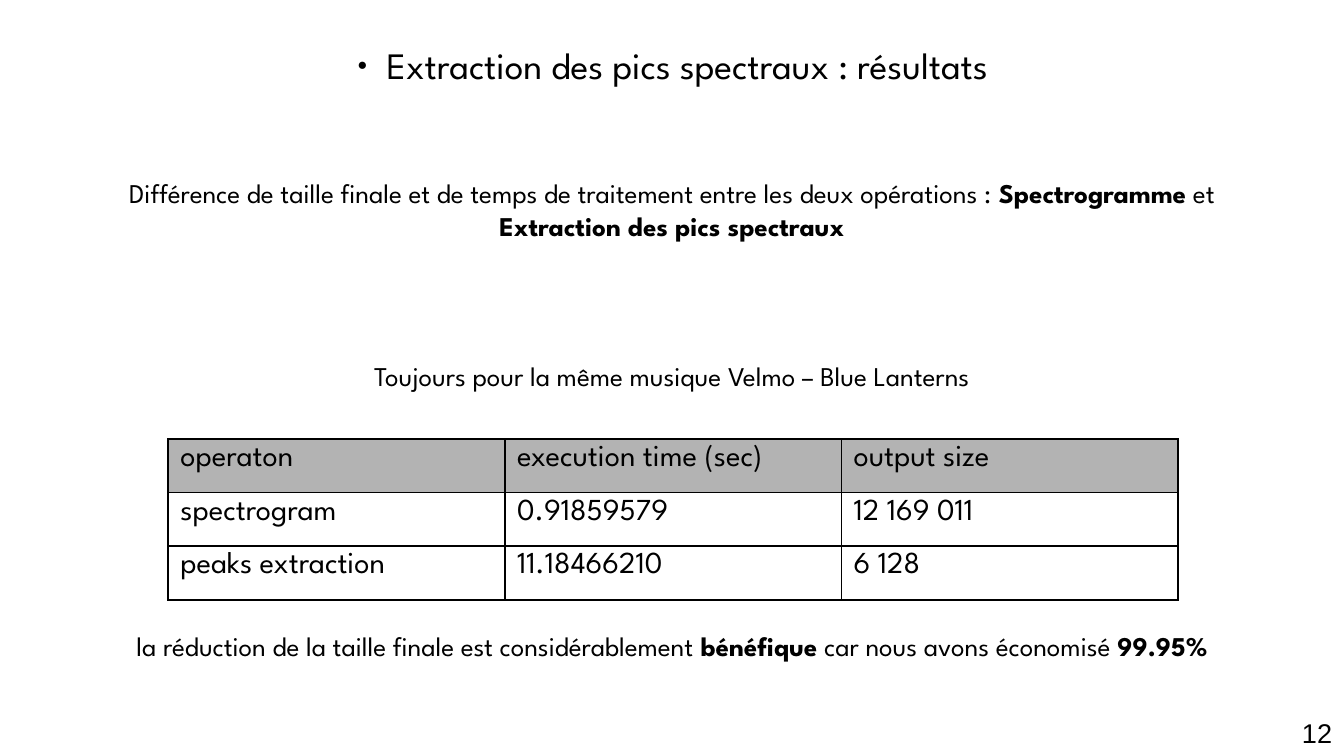
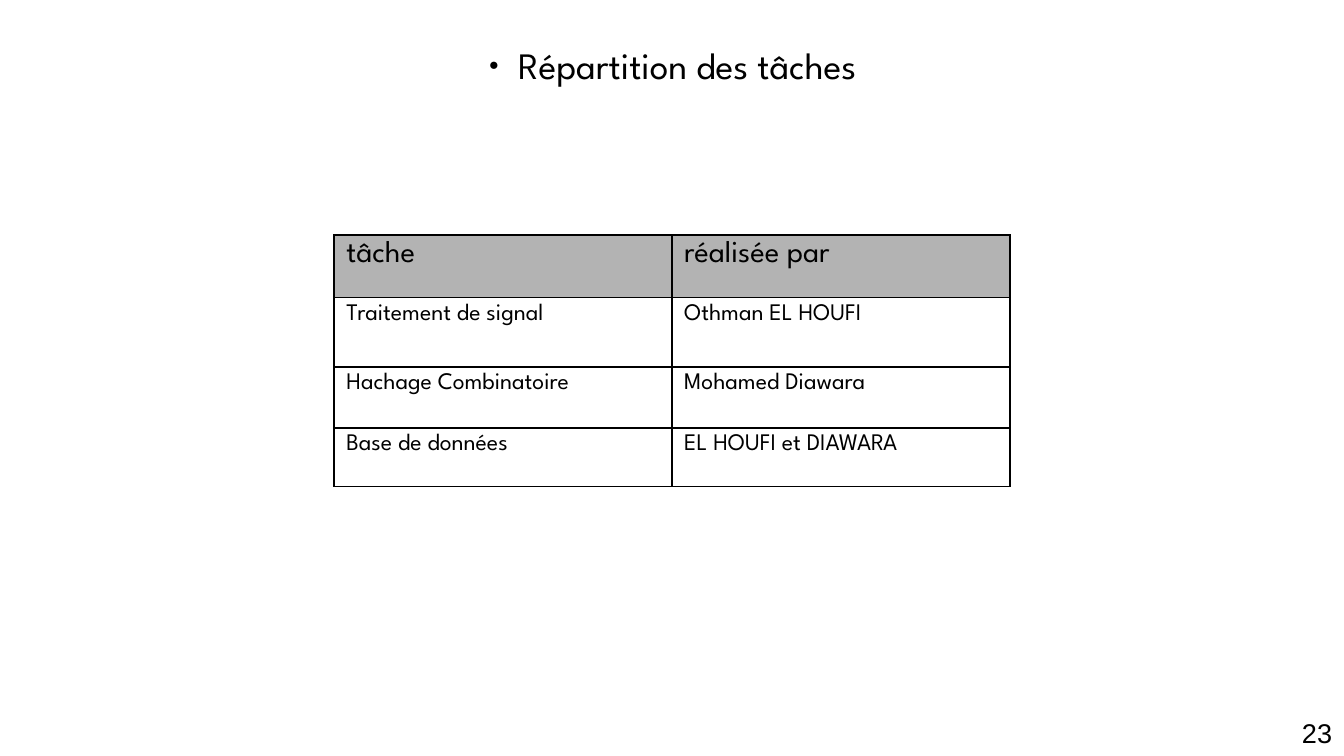
from lxml import etree
from pptx import Presentation
from pptx.dml.color import RGBColor
from pptx.enum.text import PP_ALIGN
from pptx.oxml.ns import qn
from pptx.util import Inches, Pt

CENTER = PP_ALIGN.CENTER
RIGHT = PP_ALIGN.RIGHT
COLORS = {"text": "000000", "border": "000000", "header": "B3B3B3"}
TEXT_FONT = "League Spartan"
NUMBER_FONT = "Arial"
BORDER_WIDTH = Pt(1.19)

SLIDES = [
    {
        "title": "Extraction des pics spectraux : résultats",
        "number": "12",
        "texts": [
            (1.4, 0.7, [
                ("Différence de taille finale et de temps de traitement entre les deux opérations : ", False),
                ("Spectrogramme", True),
                (" et ", False),
                ("Extraction des pics spectraux", True),
            ]),
            (2.9, 0.4, [("Toujours pour la même musique Velmo – Blue Lanterns", False)]),
            (5.11, 0.7, [
                ("la réduction de la taille finale est considérablement ", False),
                ("bénéfique", True),
                (" car nous avons économisé ", False),
                ("99.95%", True),
            ]),
        ],
        "table": {
            "left": 1.38, "top": 3.6, "column_width": 2.76, "body_size": 18,
            "row_heights": [0.44, 0.44, 0.44],
            "rows": [
                ["operaton", "execution time (sec)", "output size"],
                ["spectrogram", "0.91859579", "12 169 011"],
                ["peaks extraction", "11.18466210", "6 128"],
            ],
        },
    },
    {
        "title": "Répartition des tâches",
        "number": "23",
        "texts": [],
        "table": {
            "left": 2.74, "top": 1.93, "column_width": 2.77, "body_size": 14,
            "row_heights": [0.51, 0.57, 0.5, 0.48],
            "rows": [
                ["tâche", "réalisée par"],
                ["Traitement de signal", "Othman EL HOUFI"],
                ["Hachage Combinatoire", "Mohamed Diawara"],
                ["Base de données", "EL HOUFI et DIAWARA"],
            ],
        },
    },
]


def add_text(slide, box, runs, size, alignment=CENTER, font_name=TEXT_FONT):
    text_frame = slide.shapes.add_textbox(*[Inches(length) for length in box]).text_frame
    text_frame.word_wrap = True
    paragraph = text_frame.paragraphs[0]
    paragraph.alignment = alignment
    for text, bold in runs:
        run = paragraph.add_run()
        run.text = text
        run.font.name = font_name
        run.font.size = Pt(size)
        run.font.bold = bold
        run.font.color.rgb = RGBColor.from_string(COLORS["text"])
    return paragraph


def add_table(slide, left, top, column_width, body_size, row_heights, rows):
    column_count = len(rows[0])
    table = slide.shapes.add_table(
        len(rows), column_count, Inches(left), Inches(top),
        Inches(column_width * column_count), Inches(sum(row_heights)),
    ).table
    table.first_row = False
    table.horz_banding = False
    for column in table.columns:
        column.width = Inches(column_width)
    for row_index, values in enumerate(rows):
        is_header = row_index == 0
        table.rows[row_index].height = Inches(row_heights[row_index])
        for column_index, value in enumerate(values):
            cell = table.cell(row_index, column_index)
            properties = cell._tc.get_or_add_tcPr()
            for side in ("a:lnL", "a:lnR", "a:lnT", "a:lnB"):
                line = etree.SubElement(properties, qn(side), w=str(int(BORDER_WIDTH)))
                fill = etree.SubElement(line, qn("a:solidFill"))
                etree.SubElement(fill, qn("a:srgbClr"), val=COLORS["border"])
            if is_header:
                cell.fill.solid()
                cell.fill.fore_color.rgb = RGBColor.from_string(COLORS["header"])
            else:
                cell.fill.background()
            cell.text_frame.text = value
            font = cell.text_frame.paragraphs[0].runs[0].font
            font.name = TEXT_FONT
            font.size = Pt(18 if is_header else body_size)
            font.color.rgb = RGBColor.from_string(COLORS["text"])


presentation = Presentation()
presentation.slide_width = Inches(11.02)
presentation.slide_height = Inches(6.2)
blank_layout = presentation.slide_layouts[6]

for content in SLIDES:
    slide = presentation.slides.add_slide(blank_layout)
    title = add_text(slide, (1.62, 0.3, 7.79, 0.6), [(content["title"], False)], 22)
    title_properties = title._p.get_or_add_pPr()
    title_properties.set("marL", str(Inches(0.24)))
    title_properties.set("indent", str(-Inches(0.24)))
    bullet_color = etree.SubElement(title_properties, qn("a:buClr"))
    etree.SubElement(bullet_color, qn("a:srgbClr"), val=COLORS["text"])
    etree.SubElement(title_properties, qn("a:buSzPct"), val="45000")
    etree.SubElement(title_properties, qn("a:buFont"), typeface=NUMBER_FONT)
    etree.SubElement(title_properties, qn("a:buChar"), char="●")

    add_text(slide, (6.83, 5.83, 4.19, 0.37), [(content["number"], False)], 16, RIGHT, NUMBER_FONT)
    for top, height, runs in content["texts"]:
        add_text(slide, (0.91, top, 9.2, height), runs, 16)
    add_table(slide, **content["table"])

presentation.save("out.pptx")
